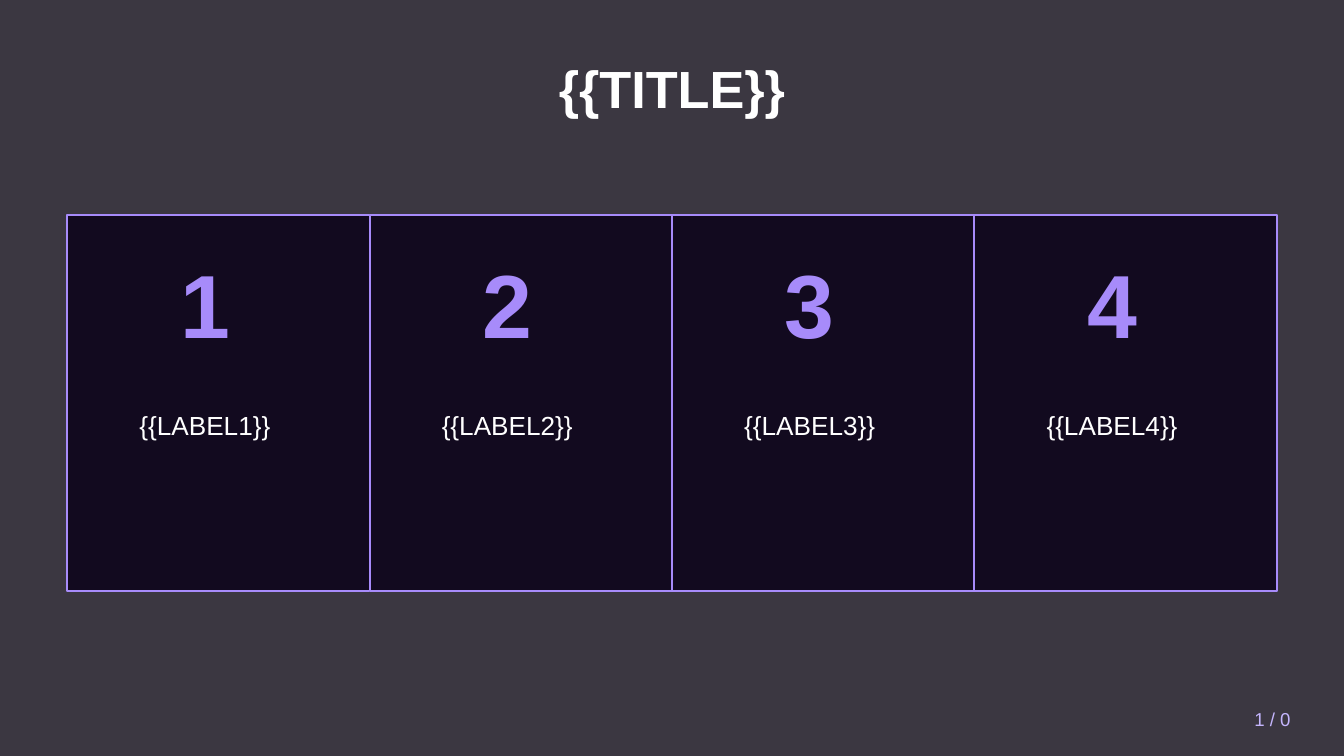
from lxml import etree
from pptx import Presentation
from pptx import util as u
from pptx.dml.color import RGBColor
from pptx.enum import shapes, text
from pptx.oxml.ns import qn

COLORS = {
    "white": "FFFFFF",
    "veil": "0A0612",
    "card": "120A1F",
    "accent": "A78BFA",
    "page_number": "C4B5FD",
}
WIDTH = 10
HEIGHT = WIDTH * 9 / 16
MARGIN = 0.5
COLUMNS = 4
COLUMN = (WIDTH - 2 * MARGIN) / COLUMNS
TEXT_WIDTH = COLUMN - 0.2


def color(name):
    return RGBColor.from_string(COLORS[name])


def add_panel(page, area, fill, line=None, opacity=None):
    panel = page.shapes.add_shape(shapes.MSO_SHAPE.RECTANGLE, *map(u.Inches, area))
    panel.shadow.inherit = False
    panel.fill.solid()
    panel.fill.fore_color.rgb = color(fill)
    if opacity is not None:
        tint = panel._element.spPr.find(qn("a:solidFill"))[0]
        etree.SubElement(tint, qn("a:alpha"), val=str(opacity * 1000))
    if line:
        panel.line.color.rgb = color(line)
        panel.line.width = u.Pt(1)
    else:
        panel.line.fill.background()


def add_text(page, area, words, size, tone, bold=False,
             align=text.PP_ALIGN.CENTER, anchor=text.MSO_ANCHOR.MIDDLE):
    box = page.shapes.add_textbox(*map(u.Inches, area))
    box.text_frame.word_wrap = True
    box.text_frame.vertical_anchor = anchor
    para = box.text_frame.paragraphs[0]
    para.alignment = align
    span = para.add_run()
    span.text = words
    span.font.name = "Arial"
    span.font.size = u.Pt(size)
    span.font.bold = bold
    span.font.color.rgb = color(tone)


def add_card(page, number):
    left = MARGIN + (number - 1) * COLUMN
    add_panel(page, (left, 1.6, COLUMN, 2.8), "card", line="accent")
    add_text(page, (left, 1.5, TEXT_WIDTH, 1.5), str(number), 48, "accent", bold=True)
    add_text(page, (left, 3, TEXT_WIDTH, 1), f"{{{{LABEL{number}}}}}", 14, "white",
             anchor=text.MSO_ANCHOR.TOP)


def main():
    deck = Presentation()
    deck.slide_width = u.Inches(WIDTH)
    deck.slide_height = u.Inches(HEIGHT)
    page = deck.slides.add_slide(deck.slide_layouts[6])
    page.background.fill.solid()
    page.background.fill.fore_color.rgb = color("white")

    add_panel(page, (0, 0, WIDTH, HEIGHT), "veil", opacity=80)
    add_text(page, (MARGIN, 0.3, WIDTH - 2 * MARGIN, 0.7), "{{TITLE}}", 28, "white",
             bold=True)
    for number in range(1, COLUMNS + 1):
        add_card(page, number)
    add_text(page, (8.5, 5.2, 1.2, 0.3), "1 / 0", 10, "page_number",
             align=text.PP_ALIGN.RIGHT)
    deck.save("out.pptx")


if __name__ == "__main__":
    main()
